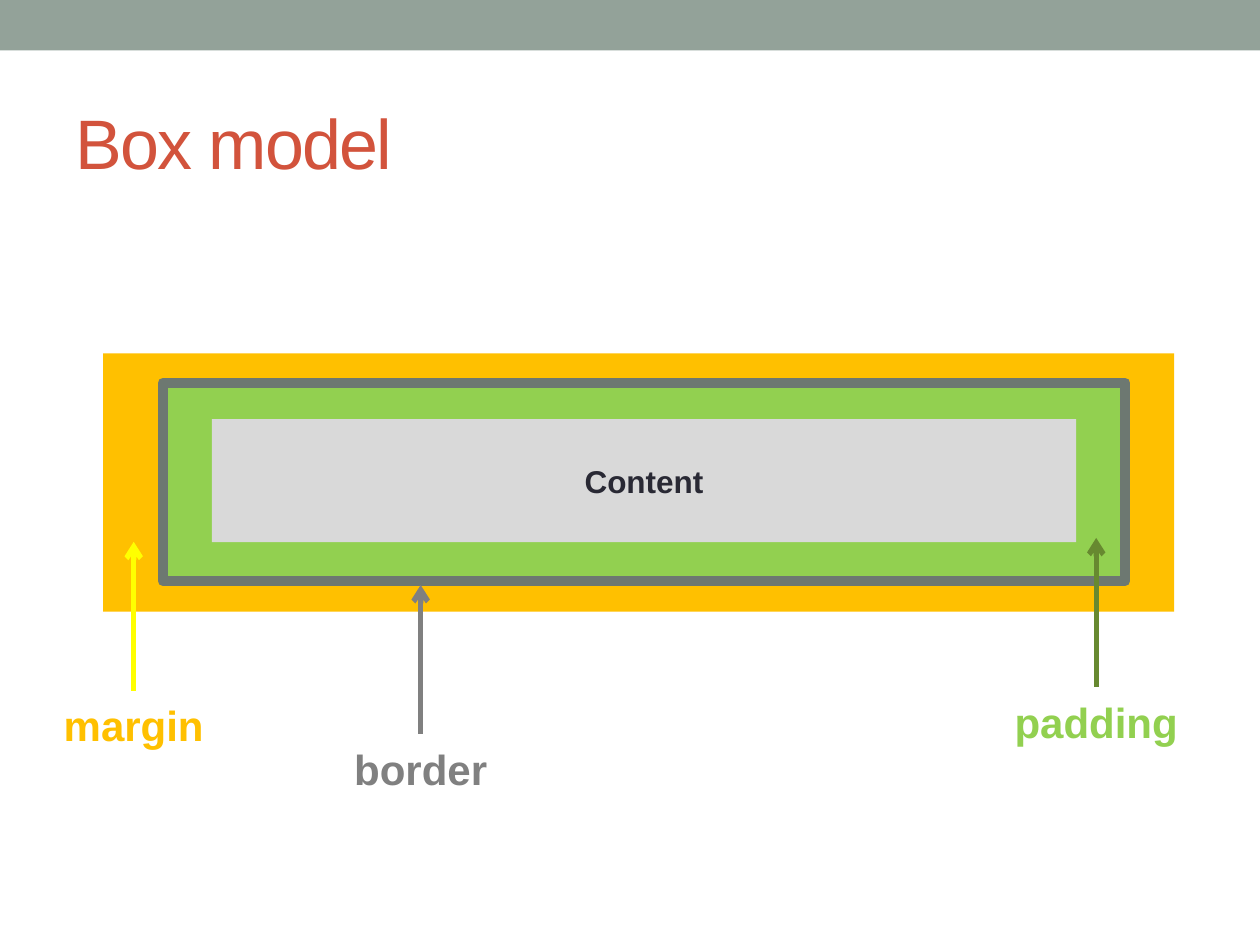
from dataclasses import dataclass

from lxml import etree
from pptx import Presentation
from pptx.dml.color import RGBColor
from pptx.enum import shapes, text
from pptx.oxml import ns
from pptx.util import Pt

FONT = "Arial"
COLORS = {
    "band": "93A299",
    "title": "D2533C",
    "margin": "FFC000",
    "border": "6D7871",
    "padding": "92D050",
    "content": "D9D9D9",
    "content text": "292934",
    "margin arrow": "FFFF00",
    "border label": "808080",
    "padding arrow": "678930",
}
ARROW_LENGTH = 85
LABEL_WIDTH, LABEL_HEIGHT, LABEL_GAP = 142.6, 36, 1.8


@dataclass
class Layer:
    left: float
    top: float
    width: float
    height: float
    fill: str
    border: str = ""
    caption: str = ""


@dataclass
class Callout:
    caption: str
    x: float
    tip: float
    arrow_color: str
    label_color: str


LAYERS = [
    Layer(0, 0, 720, 28.8, "band"),
    Layer(59, 202, 612, 147.5, "margin"),
    Layer(93, 218.8, 550, 113.2, "padding", border="border"),
    Layer(121, 239.5, 494, 70.3, "content", caption="Content"),
]
CALLOUTS = [
    Callout("margin", 76.4, 309.6, "margin arrow", "margin"),
    Callout("border", 240.4, 334.3, "border label", "border label"),
    Callout("padding", 626.4, 307.4, "padding arrow", "padding"),
]


def color(name: str) -> RGBColor:
    return RGBColor.from_string(COLORS[name])


def add_run(paragraph, words: str, size: float, color_name: str, bold: bool = False):
    run = paragraph.add_run()
    run.text = words
    run.font.name = FONT
    run.font.size = Pt(size)
    run.font.bold = bold
    run.font.color.rgb = color(color_name)
    return run


def format_title(title) -> None:
    title.left, title.top, title.width, title.height = Pt(36), Pt(41.8), Pt(648), Pt(77.8)
    frame = title.text_frame
    frame.vertical_anchor = text.MSO_ANCHOR.MIDDLE
    paragraph = frame.paragraphs[0]
    paragraph.alignment = text.PP_ALIGN.LEFT
    run = add_run(paragraph, "Box model", 40, "title")
    run.font._element.set("spc", "-100")


def add_layer(slide, layer: Layer) -> None:
    box = slide.shapes.add_shape(
        shapes.MSO_SHAPE.RECTANGLE,
        Pt(layer.left), Pt(layer.top), Pt(layer.width), Pt(layer.height),
    )
    box.shadow.inherit = False
    box.fill.solid()
    box.fill.fore_color.rgb = color(layer.fill)
    if layer.border:
        box.line.color.rgb = color(layer.border)
        box.line.width = Pt(6)
    else:
        box.line.fill.background()
    if layer.caption:
        box.text_frame.vertical_anchor = text.MSO_ANCHOR.MIDDLE
        paragraph = box.text_frame.paragraphs[0]
        paragraph.alignment = text.PP_ALIGN.CENTER
        add_run(paragraph, layer.caption, 18, "content text", bold=True)


def add_callout(slide, callout: Callout) -> None:
    """Draw an upward arrow with its label centred below."""
    start = callout.tip + ARROW_LENGTH
    arrow = slide.shapes.add_connector(
        shapes.MSO_CONNECTOR.STRAIGHT,
        Pt(callout.x), Pt(start), Pt(callout.x), Pt(callout.tip),
    )
    arrow.line.color.rgb = color(callout.arrow_color)
    arrow.line.width = Pt(3)
    etree.SubElement(arrow.line._get_or_add_ln(), ns.qn("a:tailEnd"), type="arrow")
    etree.SubElement(arrow._element.spPr, ns.qn("a:effectLst"))

    label = slide.shapes.add_textbox(
        Pt(callout.x - LABEL_WIDTH / 2), Pt(start + LABEL_GAP),
        Pt(LABEL_WIDTH), Pt(LABEL_HEIGHT),
    )
    frame = label.text_frame
    frame.word_wrap = True
    frame.auto_size = text.MSO_AUTO_SIZE.SHAPE_TO_FIT_TEXT
    paragraph = frame.paragraphs[0]
    paragraph.alignment = text.PP_ALIGN.CENTER
    add_run(paragraph, callout.caption, 24, callout.label_color, bold=True)


def main() -> None:
    deck = Presentation()
    deck.slide_width, deck.slide_height = Pt(720), Pt(540)
    slide = deck.slides.add_slide(deck.slide_layouts.get_by_name("Title Only"))
    format_title(slide.shapes.title)
    for layer in LAYERS:
        add_layer(slide, layer)
    for callout in CALLOUTS:
        add_callout(slide, callout)
    deck.save("out.pptx")


if __name__ == "__main__":
    main()
